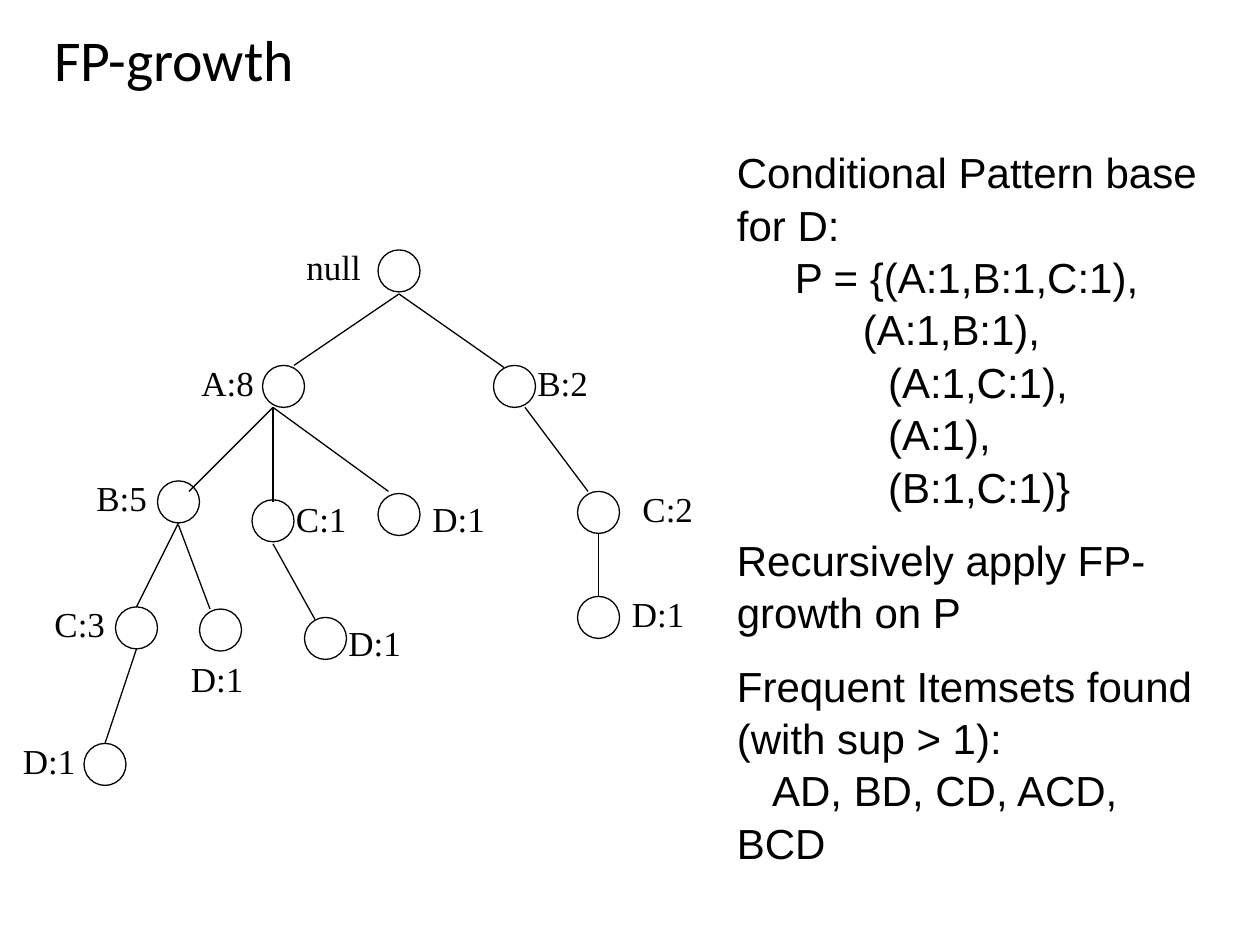
"""Builds the FP-growth slide: a prefix tree beside its conditional pattern base."""
from pptx import Presentation
from pptx.dml.color import RGBColor
from pptx.enum.shapes import MSO_CONNECTOR as LINE, MSO_SHAPE as SHAPE
from pptx.enum.text import MSO_ANCHOR as ANCHOR, MSO_AUTO_SIZE as FIT
from pptx.oxml.ns import qn
from pptx.util import Inches, Pt
from lxml.etree import SubElement

COLORS = {"ink": "000000"}
FONTS = {"title": ("Calibri", 33), "label": ("Times New Roman", 20), "body": ("Arial", 24)}

NODES = [
    ("null", (36, 1), (28, 0)),
    ("A:8", (25, 12), (18, 11)),
    ("B:2", (47, 12), (50, 11)),
    ("B:5", (15, 23), (8, 22)),
    ("C:1", (24, 24.8), (27, 24)),
    ("D:1", (36, 24.2), (40, 24)),
    ("C:2", (55, 24), (60, 23)),
    ("C:3", (11, 35), (4, 34)),
    ("D:1", (19, 35.2), (17, 39.2)),
    ("D:1", (29, 36), (32, 35.8)),
    ("D:1", (55, 34), (59, 33)),
    ("D:1", (8, 48), (1, 47)),
]
LINKS = [
    ((38, 5.2), (28, 12)),
    ((38, 5.2), (48, 12.2)),
    ((26, 16), (18, 24)),
    ((26, 16), (26, 25)),
    ((26, 16), (37, 24)),
    ((50, 16), (56, 24)),
    ((57, 28), (57, 34)),
    ((17, 27), (13, 35)),
    ((17, 27.2), (20, 35.2)),
    ((26, 29), (30, 36.2)),
    ((13, 39), (10, 48)),
]
NOTES = [
    ("Conditional Pattern base for D:", 0, 0, 0),
    ("P = {(A:1,B:1,C:1),", 0.46, 0, 0),
    ("(A:1,B:1),", 1, 0, 0),
    ("(A:1,C:1),", 1.2, 0, 0),
    ("(A:1),", 1.2, 0, 0),
    ("(B:1,C:1)}", 1.2, 0, 0),
    ("Recursively apply FP-growth on P", 0, 0, 12),
    ("Frequent Itemsets found (with sup > 1):", 0, 0, 12),
    ("AD, BD, CD, ACD, BCD", 0, 0.28, 0),
]


class TreeSlide:
    """Draws on one title-only slide, with the tree on a grid of twelfths of an inch."""

    unit = 1 / 12
    top = 1.9

    def __init__(self, deck):
        self.page = deck.slides.add_slide(deck.slide_layouts[5])

    def at(self, spot):
        column, row = spot
        return Inches(column * self.unit), Inches(self.top + row * self.unit)

    def style(self, para, role):
        name, size = FONTS[role]
        for span in para.runs:
            span.font.name, span.font.size = name, Pt(size)
            span.font.color.rgb = RGBColor.from_string(COLORS["ink"])

    def outline(self, shape):
        shape.line.color.rgb = RGBColor.from_string(COLORS["ink"])
        shape.line.width = Pt(0.75)

    def title(self, text):
        box = self.page.shapes.title
        box.left, box.top, box.width, box.height = map(Inches, (0.33, 0, 9, 1))
        frame = box.text_frame
        frame.text = text
        frame.vertical_anchor = ANCHOR.MIDDLE
        frame.auto_size = FIT.NONE
        para = frame.paragraphs[0]
        para.alignment = 1
        para.line_spacing = 0.9
        self.style(para, "title")

    def link(self, start, end):
        line = self.page.shapes.add_connector(LINE.STRAIGHT, *self.at(start), *self.at(end))
        self.outline(line)
        SubElement(line._element.spPr, qn("a:effectLst"))

    def node(self, spot):
        size = Inches(4 * self.unit)
        circle = self.page.shapes.add_shape(SHAPE.OVAL, *self.at(spot), size, size)
        circle.shadow.inherit = False
        circle.fill.background()
        self.outline(circle)

    def label(self, text, spot):
        box = self.page.shapes.add_textbox(*self.at(spot), Inches(8 * self.unit), Inches(0.43))
        frame = box.text_frame
        frame.word_wrap = True
        frame.text = text
        self.style(frame.paragraphs[0], "label")

    def notes(self, lines):
        box = self.page.shapes.add_textbox(*map(Inches, (5.75, 1.1, 3.92, 5.73)))
        frame = box.text_frame
        frame.word_wrap = True
        frame.text = "\n".join(text for text, *_ in lines)
        for para, (_, margin, indent, before) in zip(frame.paragraphs, lines):
            layout = para._p.get_or_add_pPr()
            layout.set("marL", str(Inches(margin)))
            layout.set("indent", str(Inches(indent)))
            para.space_before = Pt(before)
            para.line_spacing = 1.04
            self.style(para, "body")


def main():
    deck = Presentation()
    deck.slide_width, deck.slide_height = Inches(10), Inches(7.5)
    slide = TreeSlide(deck)
    slide.title("FP-growth")
    for start, end in LINKS:
        slide.link(start, end)
    for text, circle, label in NODES:
        slide.node(circle)
        slide.label(text, label)
    slide.notes(NOTES)
    deck.save("out.pptx")


if __name__ == "__main__":
    main()
